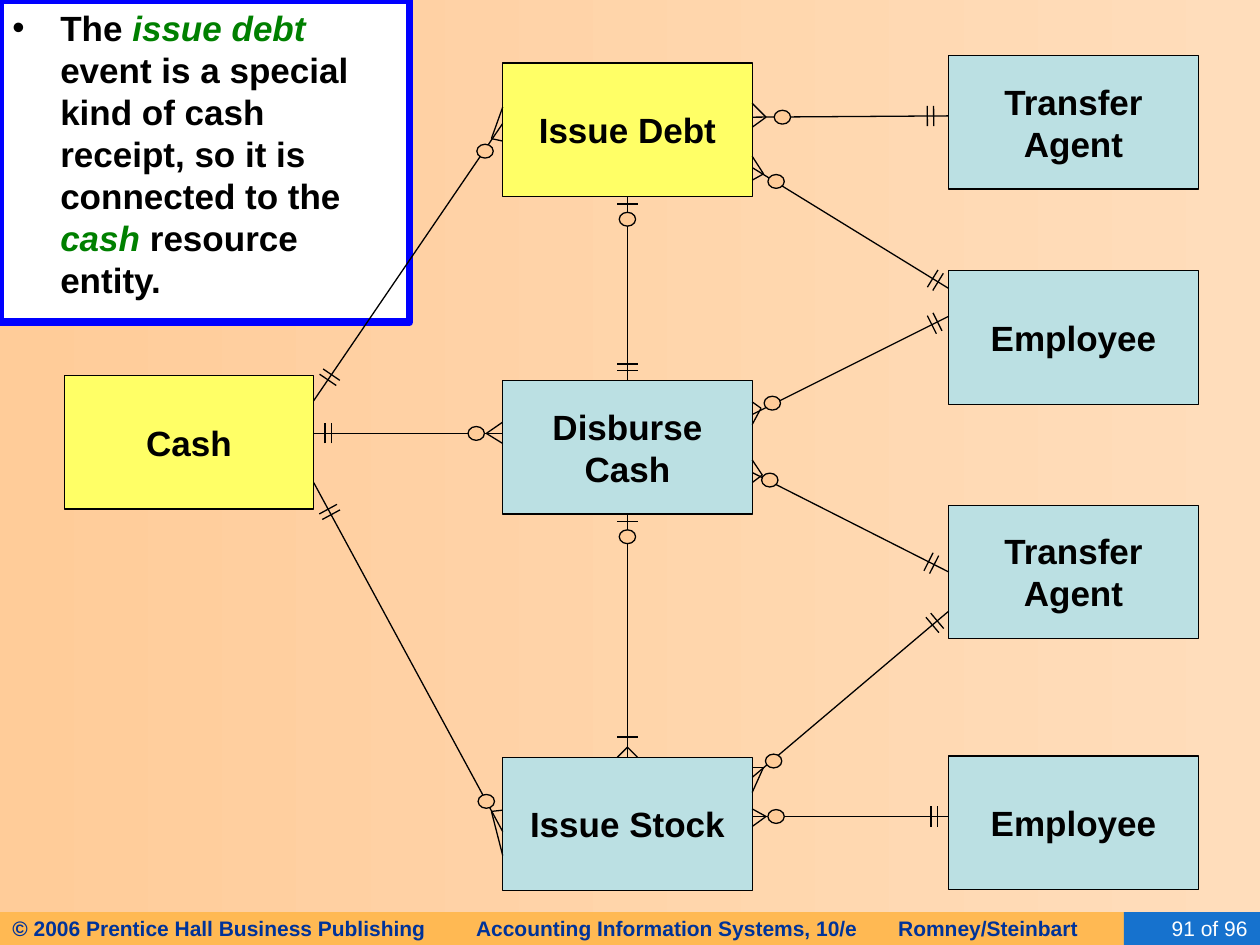
from dataclasses import dataclass
from math import hypot

from lxml.etree import SubElement
from pptx import Presentation
from pptx.dml.color import RGBColor
from pptx.enum.shapes import MSO_CONNECTOR, MSO_SHAPE
from pptx.enum.text import MSO_ANCHOR, PP_ALIGN
from pptx.oxml.ns import qn
from pptx.util import Inches, Pt


@dataclass(frozen=True)
class Theme:
    font: str = "Arial"
    body_size: int = 20
    footer_size: int = 12
    line_width: float = 0.75
    frame_width: float = 4.5
    ink: str = "000000"
    white: str = "FFFFFF"
    peach: str = "FFCC99"
    pale_peach: str = "FFDDBB"
    highlight: str = "FFFF66"
    entity: str = "BBE0E3"
    frame: str = "0000FF"
    term: str = "008000"
    footer: str = "FFB953"
    footer_text: str = "003399"
    page: str = "1672CE"


THEME = Theme()

# The slide is a grid of 100 columns by 75 rows; all positions are in its cells
SLIDE_W, SLIDE_H = Inches(10), Inches(7.5)
COLUMNS, ROWS = 100, 75
BOX_W, BOX_H = 19.8, 10.6
LEFT, MIDDLE, RIGHT = 5.1, 39.9, 75.3
BAR_GAP, BAR_LENGTH = 0.5, 1.6
CIRCLE_W, CIRCLE_H = 1.3, 1.1

# key: (label, column, row, fill)
ENTITIES = {
    "cash": ("Cash", LEFT, 29.8, THEME.highlight),
    "debt": ("Issue Debt", MIDDLE, 5.0, THEME.highlight),
    "disburse": ("Disburse Cash", MIDDLE, 30.2, THEME.entity),
    "stock": ("Issue Stock", MIDDLE, 60.1, THEME.entity),
    "debt agent": ("Transfer Agent", RIGHT, 4.4, THEME.entity),
    "employee": ("Employee", RIGHT, 21.5, THEME.entity),
    "stock agent": ("Transfer Agent", RIGHT, 40.1, THEME.entity),
    "stock employee": ("Employee", RIGHT, 60.0, THEME.entity),
}

# one side, many side, row at one, row at many, distance to bars,
# crow's foot (reach, row), rows of its two toes, circle (reach, row)
RELATIONSHIPS = [
    ("cash", "debt", 31.8, 9.8, 2.0, (0.9, 11.0), (8.5, 11.2), (1.4, 12.0)),
    ("cash", "disburse", 34.4, 34.4, 0.9, (1.3, 34.4), (33.5, 35.2), (2.1, 34.4)),
    ("cash", "stock", 38.3, 66.0, 2.4, (0.9, 64.4), (64.3, 67.9), (1.3, 63.6)),
    ("debt agent", "debt", 9.2, 9.3, 1.2, (1.1, 9.3), (8.2, 10.1), (2.4, 9.3)),
    ("employee", "debt", 22.9, 13.3, 1.0, (0.9, 13.8), (12.4, 14.3), (1.9, 14.4)),
    ("employee", "disburse", 25.1, 32.9, 1.0, (0.7, 32.4), (31.9, 33.7), (1.6, 32.0)),
    ("stock agent", "disburse", 45.4, 37.5, 1.3, (0.8, 37.7), (36.5, 38.3), (1.4, 38.1)),
    ("stock agent", "stock", 48.5, 61.7, 1.2, (0.9, 60.9), (60.9, 62.9), (1.7, 60.4)),
    ("stock employee", "stock", 64.8, 64.8, 0.9, (1.1, 64.8), (64.2, 65.6), (1.9, 64.8)),
]


def across(columns):
    return round(SLIDE_W * columns / COLUMNS)


def down(rows):
    return round(SLIDE_H * rows / ROWS)


def set_font(font, size, color, bold=True):
    font.name, font.size, font.bold = THEME.font, Pt(size), bold
    font.color.rgb = RGBColor.from_string(color)


def add_panel(slide, left, top, width, height, fill, line=None,
              line_width=THEME.line_width, preset=MSO_SHAPE.RECTANGLE):
    panel = slide.shapes.add_shape(
        preset, across(left), down(top), across(width), down(height))
    panel.shadow.inherit = False
    panel.fill.solid()
    panel.fill.fore_color.rgb = RGBColor.from_string(fill)
    if line:
        panel.line.color.rgb = RGBColor.from_string(line)
        panel.line.width = Pt(line_width)
    else:
        panel.line.fill.background()
    panel.text_frame.word_wrap = True
    return panel


def write(panel, text, size, color, align, bold=True):
    panel.text_frame.vertical_anchor = MSO_ANCHOR.MIDDLE
    paragraph = panel.text_frame.paragraphs[0]
    paragraph.text, paragraph.alignment = text, align
    return paragraph, set_font(paragraph.font, size, color, bold)


def add_line(slide, start, end):
    line = slide.shapes.add_connector(
        MSO_CONNECTOR.STRAIGHT,
        across(start[0]), down(start[1]), across(end[0]), down(end[1]))
    line.line.color.rgb = RGBColor.from_string(THEME.ink)
    line.line.width = Pt(THEME.line_width)
    SubElement(line._element.spPr, qn("a:effectLst"))
    return line


def add_circle(slide, x, y):
    add_panel(slide, x - CIRCLE_W / 2, y - CIRCLE_H / 2, CIRCLE_W, CIRCLE_H,
              THEME.peach, THEME.ink, preset=MSO_SHAPE.OVAL)


def add_bars(slide, start, end, *distances):
    """Short strokes square to a line, at distances from its start."""
    length = hypot(end[0] - start[0], end[1] - start[1])
    ux, uy = (end[0] - start[0]) / length, (end[1] - start[1]) / length
    half = BAR_LENGTH / 2
    for distance in distances:
        x, y = start[0] + ux * distance, start[1] + uy * distance
        add_line(slide, (x - uy * half, y + ux * half), (x + uy * half, y - ux * half))


def add_relationship(slide, one, many, one_row, many_row, bars, foot, toes, circle):
    one_left, many_left = ENTITIES[one][1], ENTITIES[many][1]
    if one_left < many_left:
        one_edge, many_edge, outward = one_left + BOX_W, many_left, -1
    else:
        one_edge, many_edge, outward = one_left, many_left + BOX_W, 1
    start, end = (one_edge, one_row), (many_edge, many_row)
    add_line(slide, start, end)
    add_bars(slide, start, end, bars, bars + BAR_GAP)
    for toe in toes:
        add_line(slide, (many_edge + outward * foot[0], foot[1]), (many_edge, toe))
    add_circle(slide, many_edge + outward * circle[0], circle[1])


def add_event_links(slide, boxes):
    """Vertical links between the three events."""
    center = MIDDLE + BOX_W / 2
    for upper, lower in (("debt", "disburse"), ("disburse", "stock")):
        top = (center, ENTITIES[upper][2] + BOX_H)
        bottom = (center, ENTITIES[lower][2])
        link = add_line(slide, top, bottom)
        link.begin_connect(boxes[upper], 2)
        link.end_connect(boxes[lower], 0)
        add_bars(slide, top, bottom, 0.6)
        add_circle(slide, center, top[1] + 1.8)
        if lower == "stock":
            add_bars(slide, bottom, top, 1.6)
            for side in (-0.8, 0.8):
                add_line(slide, (center, bottom[1] - 0.8), (center + side, bottom[1]))
        else:
            add_bars(slide, bottom, top, 0.8, 0.8 + BAR_GAP)


def add_explanation(slide):
    note = add_panel(slide, 0, 0, 32.5, 25.6, THEME.white, THEME.frame, THEME.frame_width)
    note.text_frame.vertical_anchor = MSO_ANCHOR.TOP
    paragraph = note.text_frame.paragraphs[0]
    paragraph.alignment = PP_ALIGN.LEFT
    properties = paragraph._p.get_or_add_pPr()
    properties.set("marL", str(Inches(0.38)))
    properties.set("indent", str(-Inches(0.38)))
    SubElement(properties, qn("a:buFont"), typeface=THEME.font)
    SubElement(properties, qn("a:buChar"), char="•")
    set_font(paragraph.font, THEME.body_size, THEME.ink)
    for text, is_term in (
            ("The ", False), ("issue debt", True),
            (" event is a special kind of cash receipt, so it is connected to the ", False),
            ("cash", True), (" resource entity.", False)):
        run = paragraph.add_run()
        run.text, run.font.italic = text, is_term
        run.font.color.rgb = RGBColor.from_string(THEME.term if is_term else THEME.ink)


def add_footer(slide):
    credits = add_panel(slide, 0, 72.4, 92.5, 2.6, THEME.footer)
    paragraph = credits.text_frame.paragraphs[0]
    tabs = SubElement(paragraph._p.get_or_add_pPr(), qn("a:tabLst"))
    for stop in (36.8, 70.3):
        SubElement(tabs, qn("a:tab"), pos=str(across(stop)), algn="l")
    write(credits, "© 2006 Prentice Hall Business Publishing\t"
          "Accounting Information Systems, 10/e\tRomney/Steinbart",
          THEME.footer_size, THEME.footer_text, PP_ALIGN.LEFT)
    page = add_panel(slide, 89.2, 72.4, 10.8, 2.6, THEME.page)
    write(page, "91 of 96", THEME.footer_size, THEME.white, PP_ALIGN.RIGHT, bold=False)


def set_background(slide):
    fill = slide.background.fill
    fill.gradient()
    fill.gradient_angle = 180
    for stop, color in zip(fill.gradient_stops, (THEME.pale_peach, THEME.peach)):
        stop.color.rgb = RGBColor.from_string(color)


def main():
    deck = Presentation()
    deck.slide_width, deck.slide_height = SLIDE_W, SLIDE_H
    slide = deck.slides.add_slide(deck.slide_layouts[6])
    set_background(slide)
    add_footer(slide)
    add_explanation(slide)
    # Entities
    boxes = {}
    for key, (label, left, top, fill) in ENTITIES.items():
        boxes[key] = add_panel(slide, left, top, BOX_W, BOX_H, fill, THEME.ink)
        write(boxes[key], label, THEME.body_size, THEME.ink, PP_ALIGN.CENTER)
    # Relationships
    add_event_links(slide, boxes)
    for relationship in RELATIONSHIPS:
        add_relationship(slide, *relationship)
    deck.save("out.pptx")


if __name__ == "__main__":
    main()
